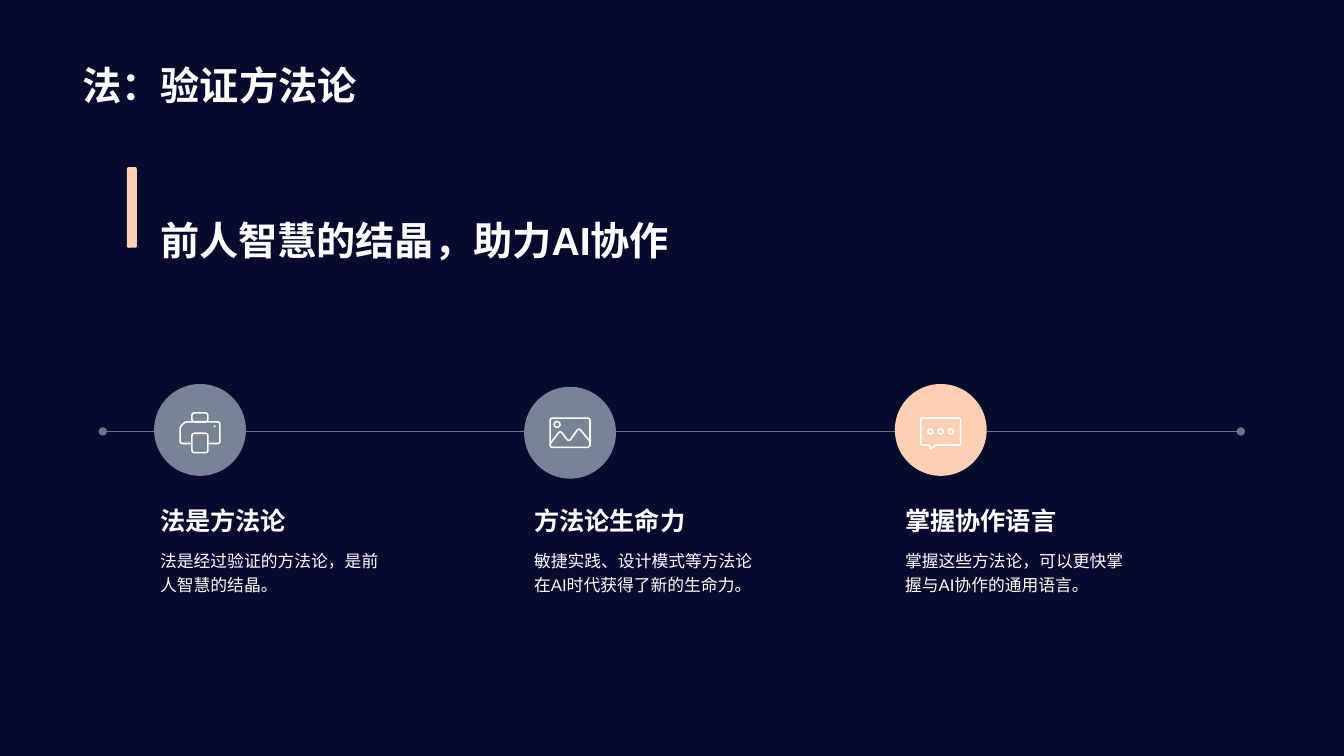
import pptx
import pptx.dml.color
import pptx.enum.lang
import pptx.enum.shapes
import pptx.enum.text
import pptx.oxml
import pptx.oxml.ns
import pptx.util
import math

Pt = pptx.util.Pt
RGBColor = pptx.dml.color.RGBColor
SHAPES = pptx.enum.shapes.MSO_SHAPE
ANCHOR = pptx.enum.text.MSO_ANCHOR

NAVY = RGBColor(0x08, 0x0B, 0x2E)
WHITE = RGBColor(0xFF, 0xFF, 0xFF)
SLATE = RGBColor(0x77, 0x84, 0x95)
LINE_GRAY = RGBColor(0x6A, 0x77, 0x88)
PEACH = RGBColor(0xFF, 0xCF, 0xB3)


def rounded_corners(points, radius, closed):
    """Replace each corner by a short quadratic curve."""
    result = []
    count = len(points)
    for index, corner in enumerate(points):
        if not closed and index in (0, count - 1):
            result.append(corner)
            continue
        ends = []
        for neighbour in (points[index - 1], points[(index + 1) % count]):
            length = math.dist(corner, neighbour)
            share = min(radius, length / 2) / length
            ends.append([c + (n - c) * share for c, n in zip(corner, neighbour)])
        for step in range(9):
            t = step / 8
            result.append(tuple((1 - t) ** 2 * a + 2 * t * (1 - t) * c + t ** 2 * b
                                for a, c, b in zip(ends[0], corner, ends[1])))
    return result


def box_points(left, top, right, bottom):
    return [(left, top), (right, top), (right, bottom), (left, bottom)]


class SlidePainter:
    font_name = "Arial"
    stroke = 1.1

    def __init__(self, presentation):
        self.slide = presentation.slides.add_slide(presentation.slide_layouts[6])
        self.slide.background.fill.solid()
        self.slide.background.fill.fore_color.rgb = NAVY

    def style(self, shape, fill=None, line=None):
        shape.shadow.inherit = False
        if fill is None:
            shape.fill.background()
        else:
            shape.fill.solid()
            shape.fill.fore_color.rgb = fill
        if line is None:
            shape.line.fill.background()
        else:
            shape.line.color.rgb = line
            shape.line.width = Pt(self.stroke)

    def text(self, text, left, top, width, height, size=12, bold=False,
             anchor=ANCHOR.TOP, spacing=1.0):
        box = self.slide.shapes.add_textbox(Pt(left), Pt(top), Pt(width), Pt(height))
        frame = box.text_frame
        frame.word_wrap = True
        frame.vertical_anchor = anchor
        paragraph = frame.paragraphs[0]
        paragraph.line_spacing = spacing
        run = paragraph.add_run()
        run.text = text
        run.font.name = self.font_name
        run.font.size = Pt(size)
        run.font.bold = bold
        run.font.color.rgb = WHITE
        run.font.language_id = pptx.enum.lang.MSO_LANGUAGE_ID.SIMPLIFIED_CHINESE

    def shape(self, kind, left, top, width, height, fill=None, line=None):
        shape = self.slide.shapes.add_shape(kind, Pt(left), Pt(top), Pt(width), Pt(height))
        self.style(shape, fill, line)
        return shape

    def circle(self, x, y, radius, fill=None, line=None):
        self.shape(SHAPES.OVAL, x - radius, y - radius, 2 * radius, 2 * radius, fill, line)

    def outline(self, points, x, y, radius=2.0, closed=True, fill=None):
        corners = [(Pt(x + px), Pt(y + py))
                   for px, py in rounded_corners(points, radius, closed)]
        builder = self.slide.shapes.build_freeform(*corners[0], scale=1.0)
        builder.add_line_segments(corners[1:], close=closed)
        self.style(builder.convert_to_shape(), fill, WHITE)

    def timeline(self, left, right, y):
        line = self.slide.shapes.add_connector(
            pptx.enum.shapes.MSO_CONNECTOR.STRAIGHT, Pt(left), Pt(y), Pt(right), Pt(y))
        line.line.color.rgb = LINE_GRAY
        line.line.width = Pt(0.5)
        for end in ("a:headEnd", "a:tailEnd"):
            element = pptx.oxml.ns.qn(end)
            line.line._get_or_add_ln().append(
                pptx.oxml.parse_xml('<%s %s type="oval"/>' % (end, pptx.oxml.ns.nsdecls("a")))
                if element else None)
        line._element.spPr.append(
            pptx.oxml.parse_xml("<a:effectLst %s/>" % pptx.oxml.ns.nsdecls("a")))

    # Icons, each drawn from its top left corner
    def printer_icon(self, x, y):
        self.outline(box_points(9, 0.5, 20.4, 6.8), x, y)
        self.outline([(4, 6.8), (29, 6.8), (29, 22.3), (0.5, 22.3), (0.5, 10.5)], x, y)
        self.outline(box_points(9, 15, 20.4, 28.9), x, y, fill=SLATE)
        self.circle(x + 25.2, y + 10, 0.7, fill=WHITE)

    def landscape_icon(self, x, y):
        self.outline(box_points(0.5, 0.5, 29, 21.4), x, y)
        self.circle(x + 5.5, y + 5.1, 2.1, line=WHITE)
        hills = [(0.5, 19), (7.7, 9.4), (14, 17.5), (21, 7.5), (29, 17.2)]
        self.outline(hills, x, y, radius=2.5, closed=False)

    def chat_icon(self, x, y):
        bubble = [(0.5, 0.5), (29, 0.5), (29, 19.8), (11, 19.8),
                  (7, 23), (7, 19.8), (0.5, 19.8)]
        self.outline(bubble, x, y, radius=1.6)
        for dot in range(3):
            self.circle(x + 7.3 + 7.3 * dot, y + 10.1, 1.8, line=WHITE)


def main():
    presentation = pptx.Presentation()
    presentation.slide_width = Pt(960)
    presentation.slide_height = Pt(540)
    painter = SlidePainter(presentation)

    # Headings and accent bar
    painter.text("法：验证方法论", 51.84, 10.08, 855.36, 70.56, size=28, bold=True,
                 anchor=ANCHOR.BOTTOM)
    painter.text("前人智慧的结晶，助力AI协作", 107.28, 116.64, 401.76, 74.88, size=28,
                 bold=True, anchor=ANCHOR.BOTTOM)
    bar = painter.shape(SHAPES.ROUNDED_RECTANGLE, 90.72, 119.4, 7, 57.6, fill=PEACH)
    bar.adjustments[0] = 0.175

    # Timeline with three steps
    painter.timeline(73.44, 886.32, 308.16)
    steps = [
        ("法是方法论", "法是经过验证的方法论，是前人智慧的结晶。",
         107.28, 142.9, 307.1, SLATE, painter.printer_icon, 12.6),
        ("方法论生命力", "敏捷实践、设计模式等方法论在AI时代获得了新的生命力。",
         374.4, 407.2, 309.1, SLATE, painter.landscape_icon, 11),
        ("掌握协作语言", "掌握这些方法论，可以更快掌握与AI协作的通用语言。",
         639.36, 672, 307.1, PEACH, painter.chat_icon, 9),
    ]
    for heading, body, left, center_x, center_y, color, icon, rise in steps:
        painter.circle(center_x, center_y, 32.8, fill=color)
        icon(center_x - 14.75, center_y - rise)
        painter.text(heading, left, 341.28, 180.72, 44.64, size=18, bold=True,
                     anchor=ANCHOR.BOTTOM)
        painter.text(body, left, 386.64, 180.72, 96.48, spacing=1.2)

    presentation.save("out.pptx")


if __name__ == "__main__":
    main()
